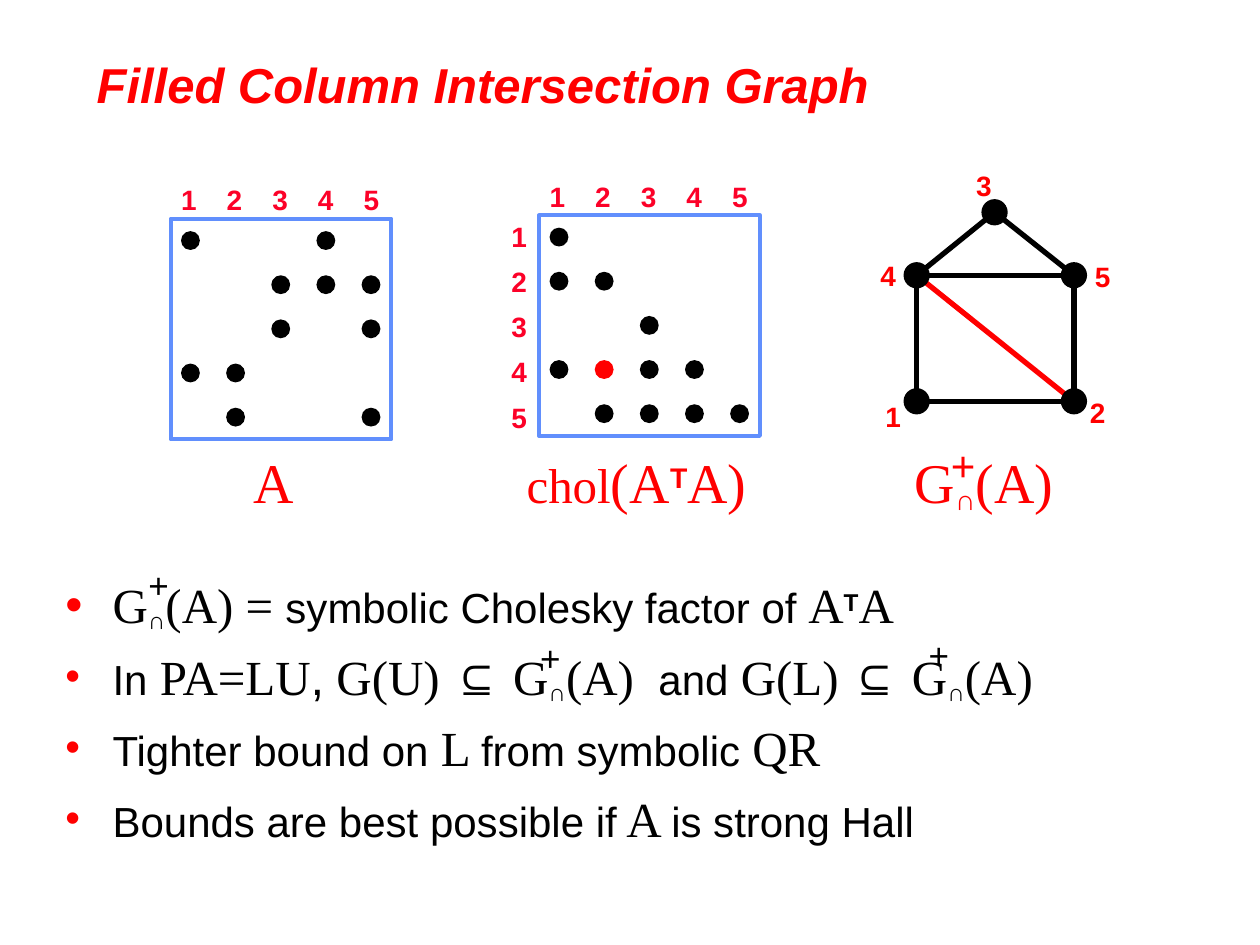
"""Build the slide on the filled column intersection graph."""
from typing import NamedTuple

from lxml import etree
from pptx import Presentation
from pptx.dml.color import RGBColor
from pptx.enum.shapes import MSO_CONNECTOR, MSO_SHAPE
from pptx.enum.text import MSO_ANCHOR, MSO_AUTO_SIZE, PP_ALIGN
from pptx.oxml import parse_xml
from pptx.oxml.ns import nsdecls, qn
from pptx.util import Cm, Pt

STRAIGHT = MSO_CONNECTOR.STRAIGHT
ELLIPSE, RECTANGLE = MSO_SHAPE.OVAL, MSO_SHAPE.RECTANGLE
LEFT, RIGHT = PP_ALIGN.LEFT, PP_ALIGN.RIGHT
MIDDLE = MSO_ANCHOR.MIDDLE
FIT_SHAPE = MSO_AUTO_SIZE.SHAPE_TO_FIT_TEXT

BLACK = RGBColor(0x00, 0x00, 0x00)
RED = RGBColor(0xFF, 0x00, 0x00)
INDEX_RED = RGBColor(0xFC, 0x01, 0x28)
FRAME_BLUE = RGBColor(0x61, 0x8F, 0xFD)
SANS, SERIF = "Arial", "Times New Roman"

FRAME_SIZE = 4.45
DOT_SIZE, NODE_SIZE = 0.38, 0.53
LABEL_SIZE = (0.81, 0.94)
MATRIX_A = [(1, 1), (1, 4), (2, 3), (2, 4), (2, 5), (3, 3), (3, 5),
            (4, 1), (4, 2), (5, 2), (5, 5)]
CHOLESKY = [(1, 1), (2, 1), (2, 2), (3, 3), (4, 1), (4, 2), (4, 3), (4, 4),
            (5, 2), (5, 3), (5, 4), (5, 5)]
FILL_ENTRY = (4, 2)
NODES = {1: (18.48, 8.09), 2: (21.65, 8.09), 3: (20.05, 4.28),
         4: (18.48, 5.55), 5: (21.65, 5.55)}
NODE_LABELS = {1: (17.6, 7.92), 2: (21.72, 7.85), 3: (19.43, 3.28),
               4: (17.5, 5.08), 5: (21.82, 5.11)}
EDGES = [(4, 2), (1, 2), (4, 1), (5, 2), (4, 5), (4, 3), (5, 3)]


class Span(NamedTuple):
    """A piece of text with its own font."""
    text: str
    font: str = SERIF
    size: int = 28
    bold: bool = False
    baseline: int = 0


def sans(text, size=24):
    """Return a plain span in the sans font."""
    return Span(text, SANS, size)


def filled_graph(size=28):
    """Return the spans of the filled column intersection graph."""
    return [Span("G", size=size), Span("∩", SANS, size - 4, True, -14),
            Span("(A)", size=size)]


def transpose(size=24):
    """Return the raised transpose mark."""
    return Span("T", SANS, size, True, 30)


def add_text(shapes, spans, left, top, width, height, color=RED, align=LEFT):
    """Add an unwrapped one-line text box."""
    box = shapes.add_textbox(Cm(left), Cm(top), Cm(width), Cm(height))
    box.text_frame.word_wrap = False
    box.text_frame.auto_size = FIT_SHAPE
    para = box.text_frame.paragraphs[0]
    para.alignment = align
    fill_paragraph(para, spans, color)


def fill_paragraph(para, spans, color):
    """Write the spans into a paragraph."""
    para.font.color.rgb = color
    for part in spans:
        span = para.add_run()
        span.text = part.text
        span.font.name = part.font
        span.font.size = Pt(part.size)
        span.font.bold = part.bold
        span.font.color.rgb = color
        if part.baseline:
            span._r.get_or_add_rPr().set("baseline", str(part.baseline * 1000))


def add_index(shapes, number, left, top, color=INDEX_RED, align=LEFT):
    """Add a bold row, column or node number."""
    add_text(shapes, [Span(str(number), SANS, 16, True)], left, top,
             *LABEL_SIZE, color, align)


def add_dot(shapes, left, top, size, color=BLACK):
    """Add a filled circle without outline."""
    dot = shapes.add_shape(ELLIPSE, Cm(left), Cm(top), Cm(size), Cm(size))
    dot.shadow.inherit = False
    dot.fill.solid()
    dot.fill.fore_color.rgb = color
    dot.line.fill.background()


def add_edge(shapes, start, end, color):
    """Add a straight graph edge between two points."""
    edge = shapes.add_connector(STRAIGHT, *map(Cm, start + end))
    edge.line.color.rgb = color
    edge.line.width = Pt(3)
    etree.SubElement(edge._element.spPr, qn("a:effectLst"))


def add_matrix(page, left, top, entries, align, fill=None, rows=False):
    """Add a framed sparsity pattern with its index labels."""
    shapes = page.shapes.add_group_shape().shapes
    for row, column in entries:
        add_dot(shapes, left + 0.21 + 0.91 * (column - 1),
                top + 0.25 + 0.89 * (row - 1), DOT_SIZE,
                RED if (row, column) == fill else BLACK)
    frame = shapes.add_shape(RECTANGLE, Cm(left), Cm(top),
                             Cm(FRAME_SIZE), Cm(FRAME_SIZE))
    frame.shadow.inherit = False
    frame.fill.background()
    frame.line.color.rgb = FRAME_BLUE
    frame.line.width = Pt(2.25)
    for step in range(5):
        add_index(shapes, step + 1, left - 0.04 + 0.92 * step, top - 0.85,
                  align=align)
        if rows:
            add_index(shapes, step + 1, left - 0.81, top - 0.04 + 0.91 * step,
                      align=align)


def add_graph(page):
    """Add the filled graph with its numbered nodes."""
    shapes = page.shapes.add_group_shape().shapes
    for start, end in EDGES:
        add_edge(shapes, NODES[start], NODES[end],
                 RED if (start, end) == FILL_ENTRY else BLACK)
    for number, (x, y) in NODES.items():
        add_dot(shapes, x - NODE_SIZE / 2, y - NODE_SIZE / 2, NODE_SIZE)
        add_index(shapes, number, *NODE_LABELS[number], RED)


def add_title(page, text):
    """Add the slide title."""
    box = page.shapes.add_textbox(Cm(1.7), Cm(0.84), Cm(20.8), Cm(1.7))
    box.text_frame.word_wrap = True
    box.text_frame.vertical_anchor = MIDDLE
    para = box.text_frame.paragraphs[0]
    para.text = text
    para.font.name, para.font.size = SANS, Pt(28)
    para.font.bold = para.font.italic = True
    para.font.color.rgb = RED


def add_bullets(page, items):
    """Add the bulleted statements."""
    box = page.shapes.add_textbox(Cm(1.07), Cm(11.22), Cm(23.06), Cm(7.19))
    frame = box.text_frame
    frame.word_wrap = True
    for number, spans in enumerate(items):
        para = frame.add_paragraph() if number else frame.paragraphs[0]
        properties = para._p.get_or_add_pPr()
        properties.set("marL", str(Cm(0.95)))
        properties.set("indent", str(Cm(-0.95)))
        for mark in (f'<a:buClr {nsdecls("a")}><a:srgbClr val="{RED}"/></a:buClr>',
                     f'<a:buFont {nsdecls("a")} typeface="{SANS}"/>',
                     f'<a:buChar {nsdecls("a")} char="•"/>'):
            properties.append(parse_xml(mark))
        para.line_spacing = 1.2
        fill_paragraph(para, spans, BLACK)


def main():
    """Build and save the deck."""
    deck = Presentation()
    deck.slide_width, deck.slide_height = Cm(25.4), Cm(19.05)
    page = deck.slides.add_slide(deck.slide_layouts[6])
    add_title(page, "Filled Column Intersection Graph")
    add_bullets(page, [
        [*filled_graph(), Span(" = "), sans("symbolic Cholesky factor of "),
         Span("A"), transpose(), Span("A")],
        [sans("In"), Span(" PA=LU"), sans(",", 28), Span(" G(U) "),
         sans("⊆", 28), Span(" "), *filled_graph(), Span("  "), sans("and"),
         Span(" G(L) "), sans("⊆", 28), Span(" "), *filled_graph()],
        [sans("Tighter bound on"), Span(" L "), sans("from symbolic"),
         Span(" QR")],
        [sans("Bounds are best possible if"), Span(" A "),
         sans("is strong Hall")]])
    add_matrix(page, 3.44, 4.41, MATRIX_A, LEFT)
    add_matrix(page, 10.87, 4.34, CHOLESKY, RIGHT, FILL_ENTRY, rows=True)
    add_graph(page)
    add_text(page.shapes, [Span("A", size=32)], 4.86, 8.89, 1.32, 1.63)
    add_text(page.shapes, [Span("chol"), Span("(A", size=32), transpose(28),
                           Span("A)", size=32)],
             10.1, 8.89, 5.2, 1.63, align=RIGHT)
    add_text(page.shapes, filled_graph(32), 18.19, 8.89, 3.63, 1.65)
    add_text(page.shapes, [sans("+")], 18.92, 8.74, 0.99, 1.27)
    for left, top in ((2.74, 11.23), (18.47, 12.65), (10.64, 12.7)):
        add_text(page.shapes, [sans("+", 20)], left, top, 0.91, 1.12, BLACK)
    deck.save("out.pptx")


if __name__ == "__main__":
    main()
